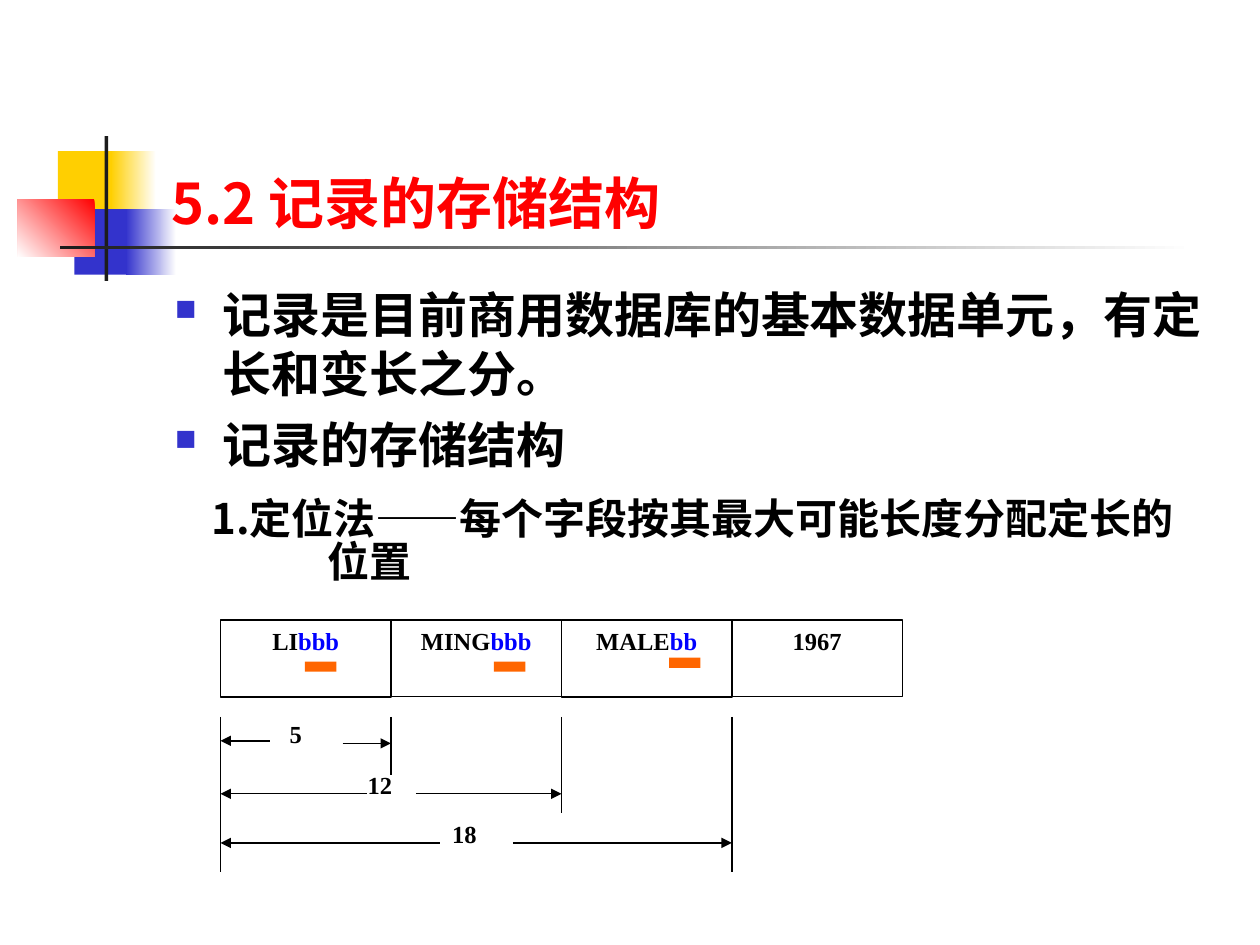
from dataclasses import dataclass

from lxml.etree import SubElement
from pptx import Presentation
from pptx.dml.color import RGBColor
from pptx.enum.shapes import MSO_CONNECTOR, MSO_SHAPE
from pptx.enum.text import MSO_ANCHOR, PP_ALIGN
from pptx.oxml.ns import qn
from pptx.util import Inches, Pt


@dataclass(frozen=True)
class Theme:
    heading_font: str = "Noto Sans CJK SC"
    body_font: str = "Lato"
    record_font: str = "Times New Roman"
    title_size: int = 32
    body_size: int = 28
    method_size: int = 24
    record_size: int = 14
    white: str = "FFFFFF"
    black: str = "000000"
    red: str = "FF0000"
    yellow: str = "FFCF01"
    navy: str = "3333CC"
    charcoal: str = "1C1C1C"
    padding: str = "0000FF"
    orange: str = "FF6600"


class SlideBuilder:
    def __init__(self, presentation, theme):
        self.theme = theme
        self.slide = presentation.slides.add_slide(presentation.slide_layouts[5])
        self.shapes = self.slide.shapes

    def frame(self, shape, **extra):
        settings = {"word_wrap": True, "vertical_anchor": MSO_ANCHOR.TOP,
                    "margin_left": Inches(0.1), "margin_right": Inches(0.1),
                    "margin_top": Inches(0.05), "margin_bottom": Inches(0.05)}
        for name, value in (settings | extra).items():
            setattr(shape.text_frame, name, value)
        return shape.text_frame

    def styled_run(self, paragraph, text, font, size, color, **layout):
        for name, value in layout.items():
            setattr(paragraph, name, value)
        run = paragraph.add_run()
        run.text = text
        for name, value in {"name": font, "size": Pt(size), "bold": True}.items():
            setattr(run.font, name, value)
        run.font.color.rgb = RGBColor.from_string(color)
        SubElement(run._r.get_or_add_rPr(), qn("a:ea"), typeface=font)

    def title(self, text, box):
        shape = self.shapes.title
        shape.left, shape.top, shape.width, shape.height = map(Inches, box)
        frame = self.frame(shape, vertical_anchor=MSO_ANCHOR.BOTTOM)
        self.styled_run(frame.paragraphs[0], text, self.theme.heading_font,
                        self.theme.title_size, self.theme.red, alignment=PP_ALIGN.LEFT)
        # Keep the heading in front of the decoration
        shape.element.getparent().append(shape.element)

    def textbox(self, box, **extra):
        return self.frame(self.shapes.add_textbox(*map(Inches, box)), **extra)

    def bullets(self, box, items):
        frame = self.textbox(box)
        for index, text in enumerate(items):
            paragraph = frame.add_paragraph() if index else frame.paragraphs[0]
            self.styled_run(paragraph, text, self.theme.body_font, self.theme.body_size,
                            self.theme.black, space_before=Pt(7))
            properties = paragraph._p.get_or_add_pPr()
            properties.set("marL", str(Inches(0.38)))
            properties.set("indent", str(-Inches(0.38)))
            color = SubElement(properties, qn("a:buClr"))
            SubElement(color, qn("a:srgbClr"), val=self.theme.navy)
            SubElement(properties, qn("a:buSzPct"), val="60000")
            SubElement(properties, qn("a:buChar"), char="■")

    def method_text(self, box, lines):
        frame = self.textbox(box, margin_right=0)
        for index, (text, indent) in enumerate(lines):
            paragraph = frame.add_paragraph() if index else frame.paragraphs[0]
            self.styled_run(paragraph, text, self.theme.heading_font,
                            self.theme.method_size, self.theme.black, line_spacing=0.85)
            paragraph._p.get_or_add_pPr().set("marL", str(Inches(indent)))

    def block(self, box, color, end=None, angle=180):
        shape = self.shapes.add_shape(MSO_SHAPE.RECTANGLE, *map(Inches, box))
        shape.shadow.inherit = False
        shape.line.fill.background()
        if end:
            shape.fill.gradient()
            shape.fill.gradient_angle = angle
            for stop, value in zip(shape.fill.gradient_stops, (color, end)):
                stop.color.rgb = RGBColor.from_string(value)
        else:
            shape.fill.solid()
            shape.fill.fore_color.rgb = RGBColor.from_string(color)
        return shape

    def record_run(self, paragraph, text, color, alignment):
        self.styled_run(paragraph, text, self.theme.record_font, self.theme.record_size,
                        color, alignment=alignment)

    def field(self, box, value, padding, line_width):
        shape = self.block(box, self.theme.white)
        shape.line.color.rgb = RGBColor.from_string(self.theme.black)
        shape.line.width = Pt(line_width)
        paragraph = self.frame(shape).paragraphs[0]
        for text, color in ((value, self.theme.black), (padding, self.theme.padding)):
            if text:
                self.record_run(paragraph, text, color, PP_ALIGN.CENTER)

    def offset_label(self, left, top, text):
        paragraph = self.textbox((left, top, 0.58, 0.46)).paragraphs[0]
        self.record_run(paragraph, text, self.theme.black, PP_ALIGN.JUSTIFY)

    def line(self, start, end, arrow=None):
        connector = self.shapes.add_connector(
            MSO_CONNECTOR.STRAIGHT, *map(Inches, (*start, *end)))
        connector.line.color.rgb = RGBColor.from_string(self.theme.black)
        connector.line.width = Pt(0.75)
        properties = connector.element.spPr
        if arrow:
            SubElement(properties.get_or_add_ln(), qn(f"a:{arrow}"), type="triangle")
        SubElement(properties, qn("a:effectLst"))


def main():
    theme = Theme()
    presentation = Presentation()
    presentation.slide_width, presentation.slide_height = Inches(10), Inches(7.5)
    builder = SlideBuilder(presentation, theme)

    # Decoration beside the title
    builder.block((0.46, 1.2, 0.48, 0.52), theme.yellow)
    builder.block((0.88, 1.2, 0.36, 0.52), theme.white, theme.yellow)
    builder.block((0.59, 1.66, 0.46, 0.52), theme.navy)
    builder.block((1, 1.66, 0.4, 0.52), theme.white, theme.navy)
    builder.block((0.14, 1.58, 0.61, 0.46), theme.red, theme.white, angle=225)
    builder.block((0.83, 1.08, 0.03, 1.15), theme.charcoal)
    builder.block((0.48, 1.95, 9, 0.03), theme.white, theme.charcoal)

    # Title and text
    builder.title("5.2 记录的存储结构", (1.26, 0.67, 8.52, 1.25))
    builder.bullets((1.29, 2.21, 8.5, 4.5), (
        "记录是目前商用数据库的基本数据单元，有定长和变长之分。",
        "记录的存储结构"))
    builder.method_text((1.58, 3.92, 7.92, 1.3), (
        ("1.定位法——每个字段按其最大可能长度分配定长的", 0), ("位置", 0.92)))

    # Record fields
    left, pitch = 1.75, 1.353
    edges = [left + pitch * index for index in range(4)]
    fields = (("LI", "bbb", 1), ("MING", "bbb", 0.75), ("MALE", "bb", 1), ("1967", "", 0.75))
    for edge, (value, padding, line_width) in zip(edges, fields):
        builder.field((edge, 4.92, pitch, 0.61), value, padding, line_width)

    # Extension lines under the field edges
    for edge, bottom in zip(edges, (6.92, 6.15, 6.45, 6.92)):
        builder.line((edge, 5.69), (edge, bottom))

    # Offsets: label, label place, arrow heights and inner arrow ends
    offsets = (("5", 2.2, 5.66, 5.88, 5.9, 2.14, 2.72),
               ("12", 2.82, 6.06, 6.3, 6.3, 2.91, 3.3),
               ("18", 3.49, 6.45, 6.69, 6.69, 3.49, 4.07))
    for edge, (text, label_left, top, left_y, right_y, inner_left, inner_right) in zip(
            edges[1:], offsets):
        builder.offset_label(label_left, top, text)
        builder.line((left, left_y), (inner_left, left_y), "headEnd")
        builder.line((inner_right, right_y), (edge, right_y), "tailEnd")

    # Marks under the padding
    for mark_left, top in ((2.42, 5.25), (3.92, 5.25), (5.31, 5.22)):
        builder.block((mark_left, top, 0.25, 0.08), theme.orange)

    presentation.save("out.pptx")


if __name__ == "__main__":
    main()
